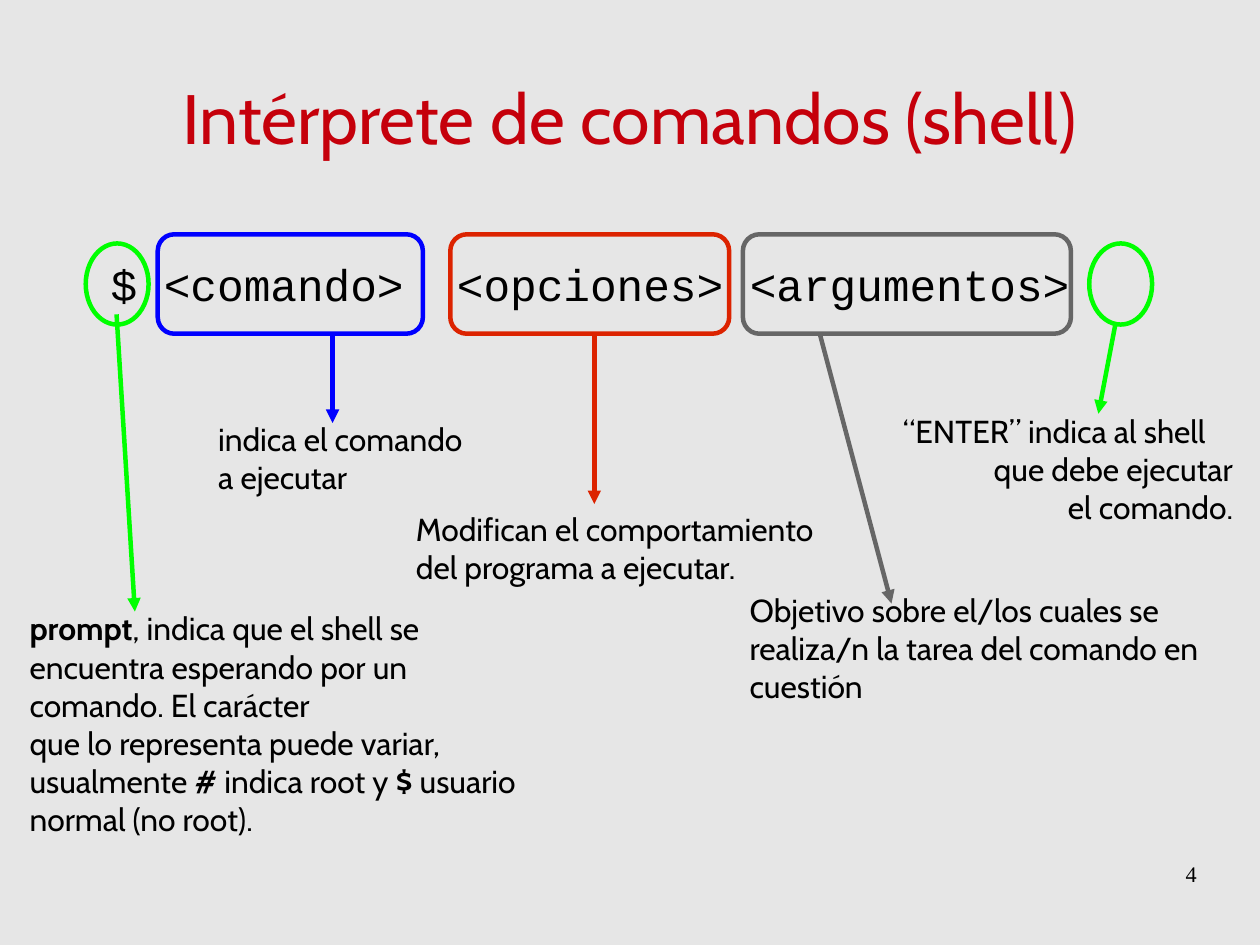
from lxml.etree import SubElement
from pptx import Presentation
from pptx.dml.color import RGBColor
from pptx.enum.shapes import MSO_CONNECTOR, MSO_SHAPE
from pptx.enum.text import MSO_ANCHOR, PP_ALIGN
from pptx.oxml.ns import qn
from pptx.util import Inches, Pt

BACKGROUND = RGBColor(0xE6, 0xE6, 0xE6)
TITLE_RED = RGBColor(0xC5, 0x00, 0x0B)
BLACK = RGBColor(0x00, 0x00, 0x00)
GREEN = RGBColor(0x00, 0xFF, 0x00)
BLUE = RGBColor(0x00, 0x00, 0xFF)
RED = RGBColor(0xDC, 0x23, 0x00)
GRAY = RGBColor(0x66, 0x66, 0x66)

STROKE = Pt(2.83)
LEFT, RIGHT = PP_ALIGN.LEFT, PP_ALIGN.RIGHT
ELLIPSE, ROUNDED = MSO_SHAPE.OVAL, MSO_SHAPE.ROUNDED_RECTANGLE

SYNTAX_PARTS = [
    (ELLIPSE, (0.75, 2.13, 0.55, 0.71), GREEN),
    (ROUNDED, (1.38, 2.05, 2.32, 0.87), BLUE),
    (ROUNDED, (3.94, 2.05, 2.44, 0.87), RED),
    (ROUNDED, (6.5, 2.05, 2.87, 0.87), GRAY),
    (ELLIPSE, (9.53, 2.13, 0.55, 0.71), GREEN),
]

EXPLANATIONS = [
    ((0.16, 5.28, 4.65, 1.95), [
        (LEFT, [("prompt", True),
                (", indica que el shell se encuentra esperando por un comando. El carácter", False)]),
        (LEFT, [("que lo representa puede variar, usualmente ", False), ("#", True),
                (" indica root y ", False), ("$", True),
                (" usuario normal (no root).", False)]),
    ]),
    ((1.81, 3.62, 4.65, 0.72), [
        (LEFT, [("indica el comando \na ejecutar", False)]),
    ]),
    ((3.54, 4.41, 4.65, 0.72), [
        (LEFT, [("Modifican el comportamiento \ndel programa a ejecutar.", False)]),
    ]),
    ((6.46, 5.12, 4.56, 1.02), [
        (LEFT, [("Objetivo sobre el/los cuales se realiza/n la tarea del comando en cuestión", False)]),
    ]),
    ((7.8, 3.55, 3.15, 1.02), [
        (LEFT, [("“ENTER” indica al shell", False)]),
        (RIGHT, [("que debe ejecutar \nel comando. ", False)]),
    ]),
]

ARROWS = [
    ((7.17, 2.91), (7.8, 5.28), GRAY),
    ((5.2, 2.91), (5.2, 4.41), RED),
    ((2.91, 2.91), (2.91, 3.7), BLUE),
    ((1.02, 2.75), (1.18, 5.35), GREEN),
    ((9.76, 2.83), (9.61, 3.62), GREEN),
]


def inches(box):
    return [Inches(length) for length in box]


def set_margins(frame, horizontal=0, vertical=0):
    frame.margin_left = frame.margin_right = Inches(horizontal)
    frame.margin_top = frame.margin_bottom = Inches(vertical)


def add_text(paragraph, text, font_name, size, color=BLACK, bold=False):
    for index, line in enumerate(text.split("\n")):
        if index:
            paragraph.add_line_break()
        run = paragraph.add_run()
        run.text = line
        run.font.name = font_name
        run.font.size = Pt(size)
        run.font.bold = bold
        run.font.color.rgb = color


def add_frame(slide, box, horizontal=0.1, vertical=0.05):
    frame = slide.shapes.add_textbox(*inches(box)).text_frame
    frame.word_wrap = True
    set_margins(frame, horizontal, vertical)
    return frame


def place_title(slide, box):
    title = slide.shapes.title
    title.left, title.top, title.width, title.height = inches(box)
    frame = title.text_frame
    set_margins(frame)
    frame.vertical_anchor = MSO_ANCHOR.MIDDLE
    heading = frame.paragraphs[0]
    heading.alignment = PP_ALIGN.CENTER
    add_text(heading, "Intérprete de comandos (shell)", "Cabin", 44, TITLE_RED)


def place_syntax(slide, box):
    syntax = add_frame(slide, box).paragraphs[0]
    add_text(syntax, "$ <comando>\t<opciones> <argumentos>", "Courier New", 28)
    tab_stops = SubElement(syntax._p.get_or_add_pPr(), qn("a:tabLst"))
    SubElement(tab_stops, qn("a:tab"), pos=str(Inches(3.03)), algn="l")


def place_outline(slide, outline_kind, box, color):
    outline = slide.shapes.add_shape(outline_kind, *inches(box))
    outline.shadow.inherit = False
    outline.fill.background()
    outline.line.color.rgb = color
    outline.line.width = STROKE


def place_explanation(slide, box, paragraphs):
    frame = add_frame(slide, box)
    for index, (alignment, runs) in enumerate(paragraphs):
        paragraph = frame.add_paragraph() if index else frame.paragraphs[0]
        paragraph.alignment = alignment
        for text, bold in runs:
            add_text(paragraph, text, "Cabin", 20, bold=bold)


def place_arrow(slide, start, end, color):
    arrow = slide.shapes.add_connector(MSO_CONNECTOR.STRAIGHT, *inches(start + end))
    arrow.line.color.rgb = color
    arrow.line.width = STROKE
    SubElement(arrow.line._get_or_add_ln(), qn("a:tailEnd"), type="triangle")
    SubElement(arrow._element.spPr, qn("a:effectLst"))


def place_page_number(slide, box):
    page_number = add_frame(slide, box, 0, 0).paragraphs[0]
    page_number.alignment = RIGHT
    add_text(page_number, "4", "Times New Roman", 14)


def main():
    presentation = Presentation()
    presentation.slide_width, presentation.slide_height = inches((11.024, 8.2675))
    slide = presentation.slides.add_slide(presentation.slide_layouts[5])
    slide.background.fill.solid()
    slide.background.fill.fore_color.rgb = BACKGROUND

    place_title(slide, (0.55, 0.33, 9.92, 1.38))
    place_syntax(slide, (0.87, 2.2, 8.9, 0.55))
    for outline_kind, box, color in SYNTAX_PARTS:
        place_outline(slide, outline_kind, box, color)
    for box, paragraphs in EXPLANATIONS:
        place_explanation(slide, box, paragraphs)
    for start, end, color in ARROWS:
        place_arrow(slide, start, end, color)
    place_page_number(slide, (7.9, 7.53, 2.57, 0.57))

    presentation.save("out.pptx")


if __name__ == "__main__":
    main()
